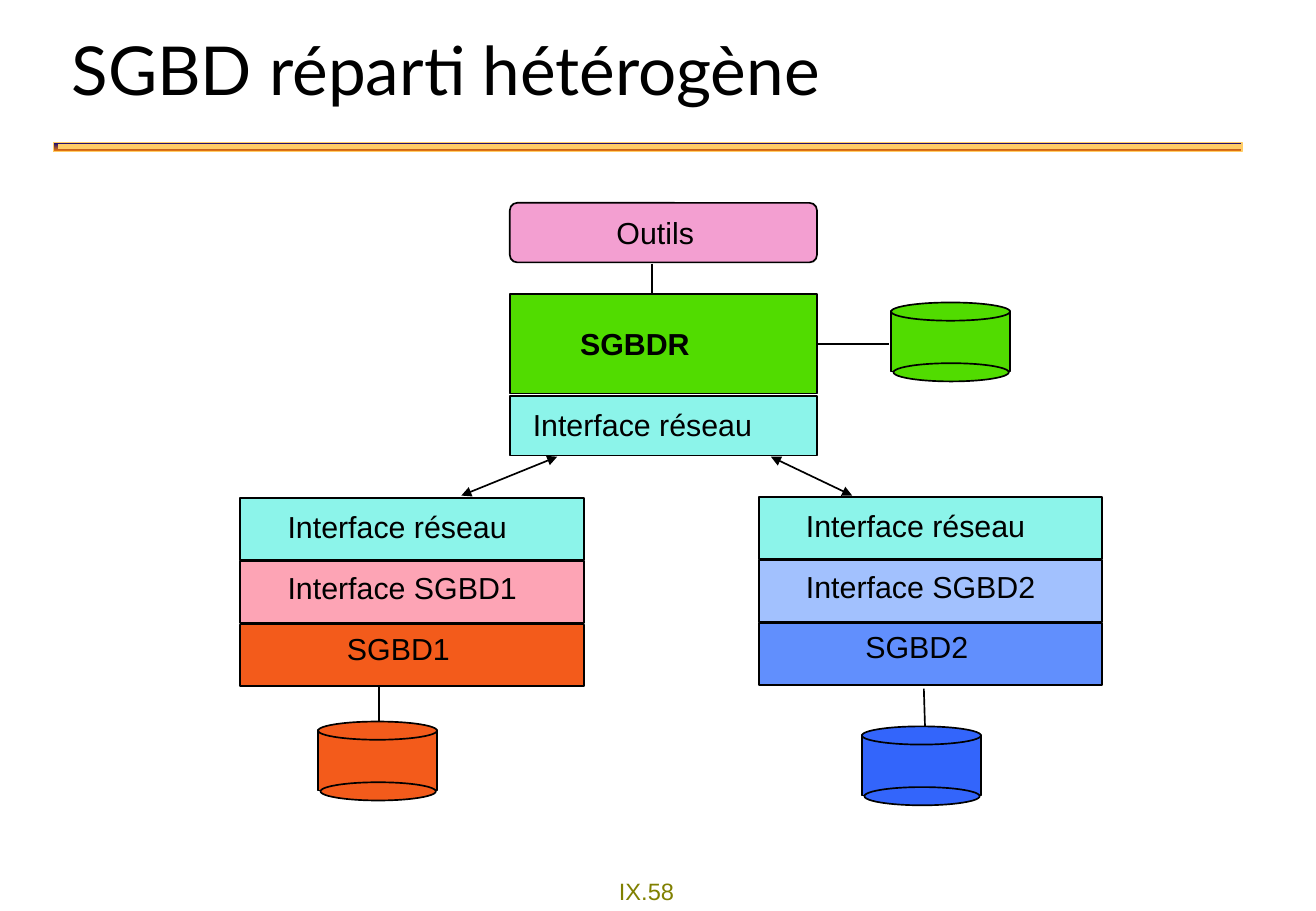
from dataclasses import dataclass

from lxml.etree import SubElement
from pptx import Presentation
from pptx.dml.color import RGBColor
from pptx.enum.shapes import MSO_CONNECTOR as Route, MSO_SHAPE as Preset
from pptx.enum.text import MSO_ANCHOR as Anchor, MSO_AUTO_SIZE as AutoSize, PP_ALIGN as Align
from pptx.oxml.ns import qn
from pptx.util import Pt

PX = 9144
COLOURS = {
    "black": "000000", "olive": "808000", "navy": "000082", "amber": "FF8200",
    "gold": "FFCC66", "pink": "F39FD1", "green": "51DC00", "aqua": "8CF4EA",
    "rose": "FDA4B5", "orange": "F35B1B", "sky": "A2C1FE", "azure": "618FFD",
    "blue": "3365FB",
}
RIGHT_SIDE = 3
BAND_PITCH, LABEL_PITCH = 52, 50


@dataclass
class Area:
    left: int
    top: int
    width: int
    height: int

    def emu(self) -> tuple:
        return tuple(length * PX for length in (self.left, self.top, self.width, self.height))


@dataclass
class Band:
    text: str
    colour: str
    area: Area
    label: Area
    preset: Preset = Preset.RECTANGLE
    bold: bool = False


@dataclass
class Stack:
    left: int
    top: int
    layers: list


@dataclass
class Database:
    left: int
    top: int
    colour: str


@dataclass
class Link:
    start: tuple
    end: tuple
    colour: str = "black"
    weight: float = 1
    arrows: bool = False
    source: str = ""


def rgb(name: str) -> RGBColor:
    return RGBColor.from_string(COLOURS[name])


def draw_shape(shapes, preset: Preset, area: Area, colour: str):
    shape = shapes.add_shape(preset, *area.emu())
    shape.shadow.inherit = False
    shape.fill.solid()
    shape.fill.fore_color.rgb = rgb(colour)
    shape.line.color.rgb = rgb("black")
    shape.line.width = Pt(1)
    return shape


def style_para(para, size: int, colour: str, name: str = "Arial", bold: bool = False) -> None:
    para.alignment = Align.LEFT
    para.font.size = Pt(size)
    para.font.name = name
    para.font.bold = bold
    para.font.color.rgb = rgb(colour)


def draw_text(shapes, text: str, area: Area, size: int, colour: str, bold: bool = False, wrap: bool = False):
    box = shapes.add_textbox(*area.emu())
    box.text_frame.word_wrap = wrap
    box.text_frame.auto_size = AutoSize.SHAPE_TO_FIT_TEXT
    para = box.text_frame.paragraphs[0]
    para.text = text
    style_para(para, size, colour, bold=bold)
    return box


def draw_band(shapes, band: Band):
    shape = draw_shape(shapes, band.preset, band.area, band.colour)
    if band.preset == Preset.ROUNDED_RECTANGLE:
        shape.adjustments[0] = 0.125
    label = draw_text(shapes, band.text, band.label, 18, "black", band.bold)
    label.fill.solid()
    label.fill.fore_color.rgb = rgb(band.colour)
    label.text_frame.paragraphs[0].line_spacing = 0.9
    return shape


def stack_bands(stack: Stack) -> list:
    return [
        Band(text, colour,
             Area(stack.left, stack.top + row * BAND_PITCH, 283, 51),
             Area(stack.left + indent, stack.top + 7 + row * LABEL_PITCH, width, 37))
        for row, (text, colour, indent, width) in enumerate(stack.layers)
    ]


def draw_database(shapes, database: Database) -> None:
    group = shapes.add_group_shape()
    left, top = database.left, database.top
    for preset, area in (
        (Preset.RECTANGLE, Area(left, top + 7, 98, 50)),
        (Preset.OVAL, Area(left + 2, top + 50, 95, 15)),
        (Preset.OVAL, Area(left, top, 98, 15)),
    ):
        draw_shape(group.shapes, preset, area, database.colour)


def draw_link(shapes, link: Link, boxes: dict) -> None:
    line = shapes.add_connector(Route.STRAIGHT, *(length * PX for length in link.start + link.end))
    if link.source:
        line.begin_connect(boxes[link.source], RIGHT_SIDE)
    line.line.color.rgb = rgb(link.colour)
    line.line.width = Pt(link.weight)
    if link.arrows:
        outline = line.line._get_or_add_ln()
        for end in ("a:headEnd", "a:tailEnd"):
            SubElement(outline, qn(end), type="triangle")
    SubElement(line._element.spPr, qn("a:effectLst"))


def draw_header(page) -> None:
    rule = draw_shape(page.shapes, Preset.RECTANGLE, Area(44, 117, 979, 8), "gold")
    rule.fill.gradient()
    rule.fill.gradient_angle = 270
    for stop, position, colour in zip(rule.fill.gradient_stops, (0, 1), ("navy", "amber")):
        stop.position = position
        stop.color.rgb = rgb(colour)
    rule.line.color.rgb = rgb("gold")
    rule.line.width = Pt(0.75)
    draw_link(page.shapes, Link((48, 121), (1023, 121), "gold", 3), {})

    title = page.shapes.title
    title.left, title.top, title.width, title.height = Area(49, 37, 704, 38).emu()
    title.text_frame.text = "SGBD réparti hétérogène"
    title.text_frame.auto_size = AutoSize.NONE
    title.text_frame.vertical_anchor = Anchor.MIDDLE
    style_para(title.text_frame.paragraphs[0], 40, "black", "Lato")


SERVER = [
    Band("SGBDR", "green", Area(420, 242, 253, 82), Area(468, 266, 110, 37), bold=True),
    Band("Interface réseau", "aqua", Area(420, 326, 253, 49), Area(429, 333, 201, 37)),
    Band("Outils", "pink", Area(420, 167, 253, 49), Area(498, 175, 84, 37), Preset.ROUNDED_RECTANGLE),
]
STACKS = [
    Stack(left, top, [
        ("Interface réseau", "aqua", 29, 201),
        (f"Interface {name}", pale, 29, 209),
        (name, strong, 78, 105),
    ])
    for name, left, top, pale, strong in (
        ("SGBD2", 625, 409, "sky", "azure"),
        ("SGBD1", 198, 410, "rose", "orange"),
    )
]
LINKS = [
    Link((673, 283), (732, 283), source="SGBDR"),
    Link((537, 217), (537, 241)),
    Link((312, 566), (312, 599)),
    Link((761, 567), (762, 599)),
    Link((459, 376), (380, 408), arrows=True),
    Link((635, 376), (702, 408), arrows=True),
]
DATABASES = [
    Database(262, 594, "orange"),
    Database(710, 598, "blue"),
    Database(734, 249, "green"),
]


def main() -> None:
    deck = Presentation()
    deck.slide_width, deck.slide_height = 1084 * PX, 750 * PX
    page = deck.slides.add_slide(deck.slide_layouts[5])
    draw_header(page)
    draw_text(page.shapes, "IX.58", Area(500, 717, 133, 33), 14, "olive", wrap=True)
    bands = SERVER + [band for stack in STACKS for band in stack_bands(stack)]
    boxes = {band.text: draw_band(page.shapes, band) for band in bands}
    for link in LINKS:
        draw_link(page.shapes, link, boxes)
    for database in DATABASES:
        draw_database(page.shapes, database)
    deck.save("out.pptx")


if __name__ == "__main__":
    main()
